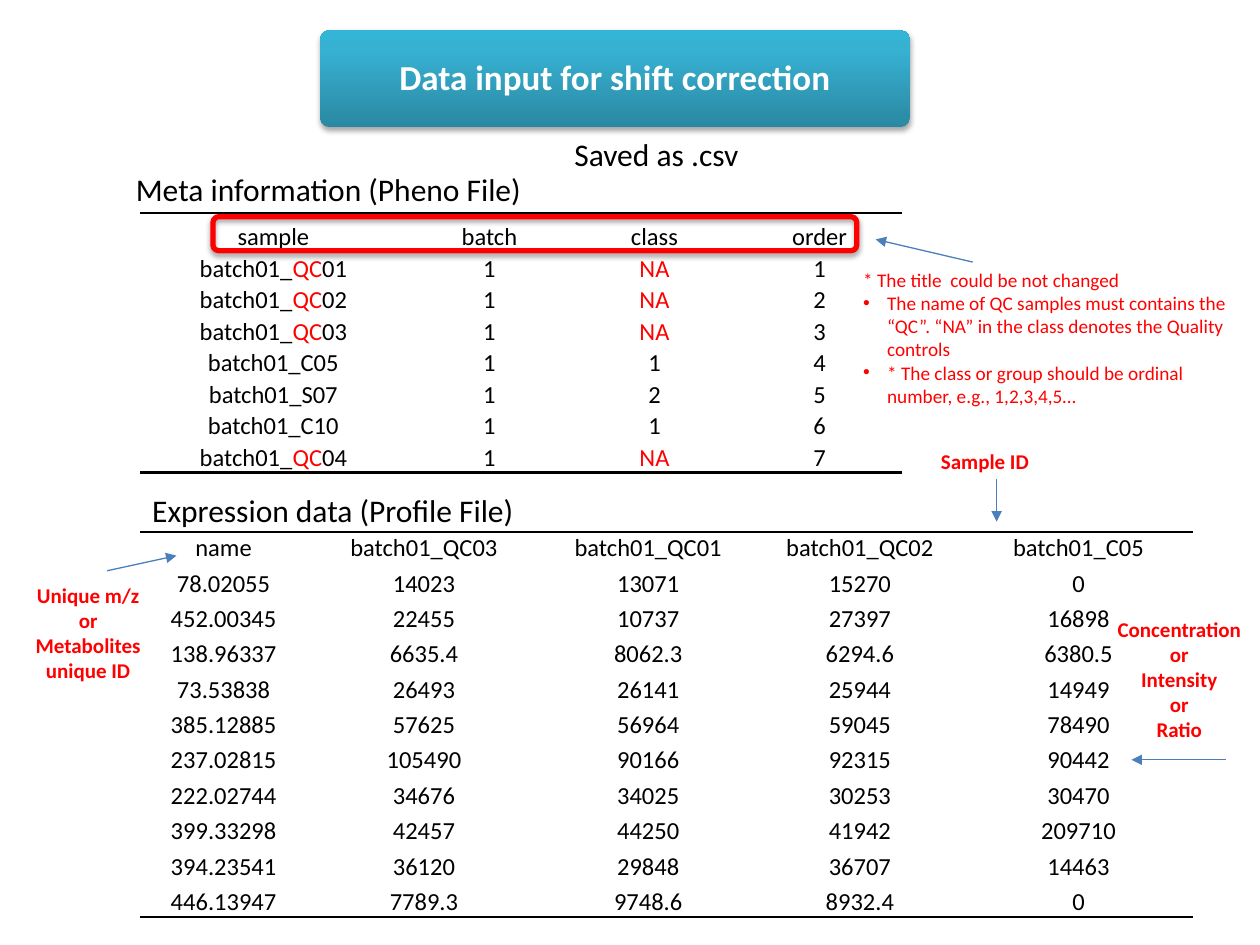
from copy import deepcopy

from lxml import etree
from pptx import Presentation
from pptx import util as u
from pptx.dml.color import RGBColor
from pptx.enum import shapes, text
from pptx.oxml import parse_xml
from pptx.oxml.ns import nsdecls, qn

COLORS = {
    "ink": "000000",
    "red": "FF0000",
    "white": "FFFFFF",
    "arrow": "4B7EBC",
    "deep": "2A88A2",
    "mid": "37B1D2",
    "light": "34B4D6",
}
LEFT, CENTER = text.PP_ALIGN.LEFT, text.PP_ALIGN.CENTER
TOP, MIDDLE, BOTTOM = (text.MSO_ANCHOR.TOP, text.MSO_ANCHOR.MIDDLE,
                       text.MSO_ANCHOR.BOTTOM)
NO_TABLE_STYLE = "{2D5ABB26-0587-4C30-8999-92F81FD0307C}"
COLUMNS, ROWS = 100, 75


def color(name):
    return RGBColor.from_string(COLORS[name])


def write(frame, lines, size=18, ink="ink", bold=False, align=LEFT, spacing=1.0):
    """Parts between bars are set in red."""
    for index, line in enumerate(lines):
        paragraph = frame.paragraphs[0] if index == 0 else frame.add_paragraph()
        paragraph.alignment = align
        paragraph.line_spacing = spacing
        paragraph.space_before = u.Pt(0)
        for position, part in enumerate(line.split("|")):
            if part:
                run = paragraph.add_run()
                run.text = part
                run.font.name = "Calibri"
                run.font.size = u.Pt(size)
                run.font.bold = bold
                run.font.color.rgb = color("red" if position % 2 else ink)


class SlideBuilder:
    def __init__(self, presentation):
        self.width = presentation.slide_width
        self.height = presentation.slide_height
        self.slide = presentation.slides.add_slide(presentation.slide_layouts[1])
        self.shapes = self.slide.shapes

    def x(self, columns):
        return round(self.width * columns / COLUMNS)

    def y(self, rows):
        return round(self.height * rows / ROWS)

    def box(self, left, top, width, height):
        return self.x(left), self.y(top), self.x(width), self.y(height)

    def placeholder(self, index, place, lines, margin=None, anchor=TOP, **style):
        shape = self.slide.placeholders[index]
        shape.left, shape.top, shape.width, shape.height = self.box(*place)
        frame = shape.text_frame
        frame.auto_size = text.MSO_AUTO_SIZE.NONE
        frame.vertical_anchor = anchor
        if margin is not None:
            frame.margin_left = frame.margin_right = self.x(margin)
            frame.margin_top = frame.margin_bottom = self.y(margin)
        write(frame, lines, **style)
        tree = shape.element.getparent()
        tree.append(shape.element)
        return frame

    def bullet(self, paragraph, mark, indent=0):
        properties = paragraph._p.get_or_add_pPr()
        properties.set("marL", str(self.x(indent)))
        properties.set("indent", str(-self.x(indent)))
        if mark:
            etree.SubElement(properties, qn("a:buFont")).set("typeface", "Arial")
            etree.SubElement(properties, qn("a:buChar")).set("char", mark)
        else:
            etree.SubElement(properties, qn("a:buNone"))

    def label(self, place, lines, wrap=True, **style):
        frame = self.shapes.add_textbox(*self.box(*place)).text_frame
        frame.word_wrap = wrap
        write(frame, lines, **style)

    def panel(self, place, radius, alpha, distance, stops=None, outline=None):
        shape = self.shapes.add_shape(
            shapes.MSO_SHAPE.ROUNDED_RECTANGLE, *self.box(*place))
        shape.adjustments[0] = radius
        if stops:
            shape.fill.gradient()
            shape.fill.gradient_angle = 90
            stop_list = shape.element.spPr.find(".//" + qn("a:gsLst"))
            stop_list.append(deepcopy(stop_list[-1]))
            for stop, (position, name) in zip(shape.fill.gradient_stops, stops):
                stop.position = position
                stop.color.rgb = color(name)
        else:
            shape.fill.background()
        if outline:
            shape.line.color.rgb = color(outline)
            shape.line.width = u.Pt(3)
        else:
            shape.line.fill.background()
        shape.shadow.inherit = False
        effects = shape.element.spPr.find(qn("a:effectLst"))
        effects.append(parse_xml(
            f'<a:outerShdw {nsdecls("a")} blurRad="{u.Pt(3.1)}" '
            f'dist="{u.Pt(distance)}" dir="5400000" rotWithShape="0">'
            f'<a:srgbClr val="{COLORS["ink"]}"><a:alpha val="{alpha * 1000}"/>'
            '</a:srgbClr></a:outerShdw>'))

    def arrow(self, start, end):
        connector = self.shapes.add_connector(
            shapes.MSO_CONNECTOR.STRAIGHT,
            self.x(start[0]), self.y(start[1]), self.x(end[0]), self.y(end[1]))
        connector.line.color.rgb = color("arrow")
        connector.line.width = u.Pt(0.75)
        line = connector.line._get_or_add_ln()
        etree.SubElement(line, qn("a:tailEnd")).set("type", "triangle")
        etree.SubElement(connector._element.spPr, qn("a:effectLst"))

    def border(self, cell, side):
        cell._tc.get_or_add_tcPr().insert(0, parse_xml(
            f'<a:{side} {nsdecls("a")} w="{u.Pt(1.5)}"><a:solidFill>'
            f'<a:srgbClr val="{COLORS["ink"]}"/></a:solidFill></a:{side}>'))

    def table(self, left, top, widths, header_height, row_height, records):
        heights = [header_height] + [row_height] * (len(records) - 1)
        table = self.shapes.add_table(
            len(records), len(widths),
            *self.box(left, top, sum(widths), sum(heights))).table
        table.first_row = table.horz_banding = False
        table._tbl.tblPr.find(qn("a:tableStyleId")).text = NO_TABLE_STYLE
        for column, width in zip(table.columns, widths):
            column.width = self.x(width)
        for row, height, record in zip(table.rows, heights, records):
            row.height = self.y(height)
            for cell, value in zip(row.cells, record):
                cell.fill.background()
                cell.vertical_anchor = BOTTOM
                cell.margin_left = cell.margin_right = self.x(0.1)
                cell.margin_top, cell.margin_bottom = self.y(0.1), 0
                write(cell.text_frame, [value], size=14, align=CENTER)
        for row, side in ((0, "lnT"), (len(records) - 1, "lnB")):
            for cell in table.rows[row].cells:
                self.border(cell, side)


def main():
    presentation = Presentation()
    presentation.slide_width, presentation.slide_height = u.Inches(10), u.Inches(7.5)
    builder = SlideBuilder(presentation)

    samples = [("|QC|01", "|NA|"), ("|QC|02", "|NA|"), ("|QC|03", "|NA|"),
               ("C05", "1"), ("S07", "2"), ("C10", "1"), ("|QC|04", "|NA|")]
    pheno = [("sample", "batch", "class", "order")] + [
        ("batch01_" + name, "1", group, str(order))
        for order, (name, group) in enumerate(samples, 1)]
    builder.table(11.1, 16.9, [21.2, 13.1, 13.1, 13.1], 3.1, 2.5, pheno)

    profile = [line.split() for line in (
        "name batch01_QC03 batch01_QC01 batch01_QC02 batch01_C05",
        "78.02055 14023 13071 15270 0",
        "452.00345 22455 10737 27397 16898",
        "138.96337 6635.4 8062.3 6294.6 6380.5",
        "73.53838 26493 26141 25944 14949",
        "385.12885 57625 56964 59045 78490",
        "237.02815 105490 90166 92315 90442",
        "222.02744 34676 34025 30253 30470",
        "399.33298 42457 44250 41942 209710",
        "394.23541 36120 29848 36707 14463",
        "446.13947 7789.3 9748.6 8932.4 0")]
    builder.table(11.1, 42.2, [13.3, 18.5, 17.1, 16.5, 18.2], 2.5, 2.81, profile)

    builder.panel((25.4, 2.4, 46.8, 7.7), 0.1, 35, 1.8,
                  stops=[(0, "deep"), (0.8, "mid"), (1, "light")])
    builder.placeholder(0, (26.2, 2.6, 45.2, 7.3), ["Data input for shift correction"],
                        margin=0.7, anchor=MIDDLE, size=20, ink="white", bold=True,
                        align=CENTER, spacing=0.9)

    builder.label((9.8, 13, 40, 4), ["Meta information (Pheno File)"])
    builder.label((11.1, 38.5, 48.7, 4), ["Expression data (Profile File)"])
    builder.label((44.6, 10.2, 15.2, 4), ["Saved as .csv"], wrap=False)
    builder.panel((16.9, 17.2, 51.1, 2.7), 0.17, 38, 1.6, outline="red")

    notes = builder.placeholder(1, (67.5, 20.8, 31.4, 12.1), [
        "* The title  could be not changed",
        "The name of QC samples must contains the “QC”. “NA” in the class "
        "denotes the Quality controls",
        "* The class or group should be ordinal number, e.g., 1,2,3,4,5…",
    ], size=11, ink="red")
    for paragraph, mark in zip(notes.paragraphs, ("", "•", "•")):
        builder.bullet(paragraph, mark, indent=1.9 if mark else 0)

    callout = {"size": 12, "ink": "red", "bold": True}
    builder.label((0, 45.7, 14, 9.1), ["Unique m/z", "or", "Metabolites unique ID"],
                  align=CENTER, **callout)
    builder.label((86.1, 48.4, 15, 13.1),
                  ["Concentration", "or", "Intensity", "or", "Ratio"],
                  align=CENTER, **callout)
    builder.label((73.7, 35.1, 15, 3), ["Sample ID"], **callout)

    for start, end in (((77.2, 20.8), (69.5, 19)), ((8.5, 45.3), (14, 44.1)),
                       ((97.3, 60.3), (89.8, 60.3)), ((79.1, 38), (79.1, 41.4))):
        builder.arrow(start, end)

    presentation.save("out.pptx")


if __name__ == "__main__":
    main()
